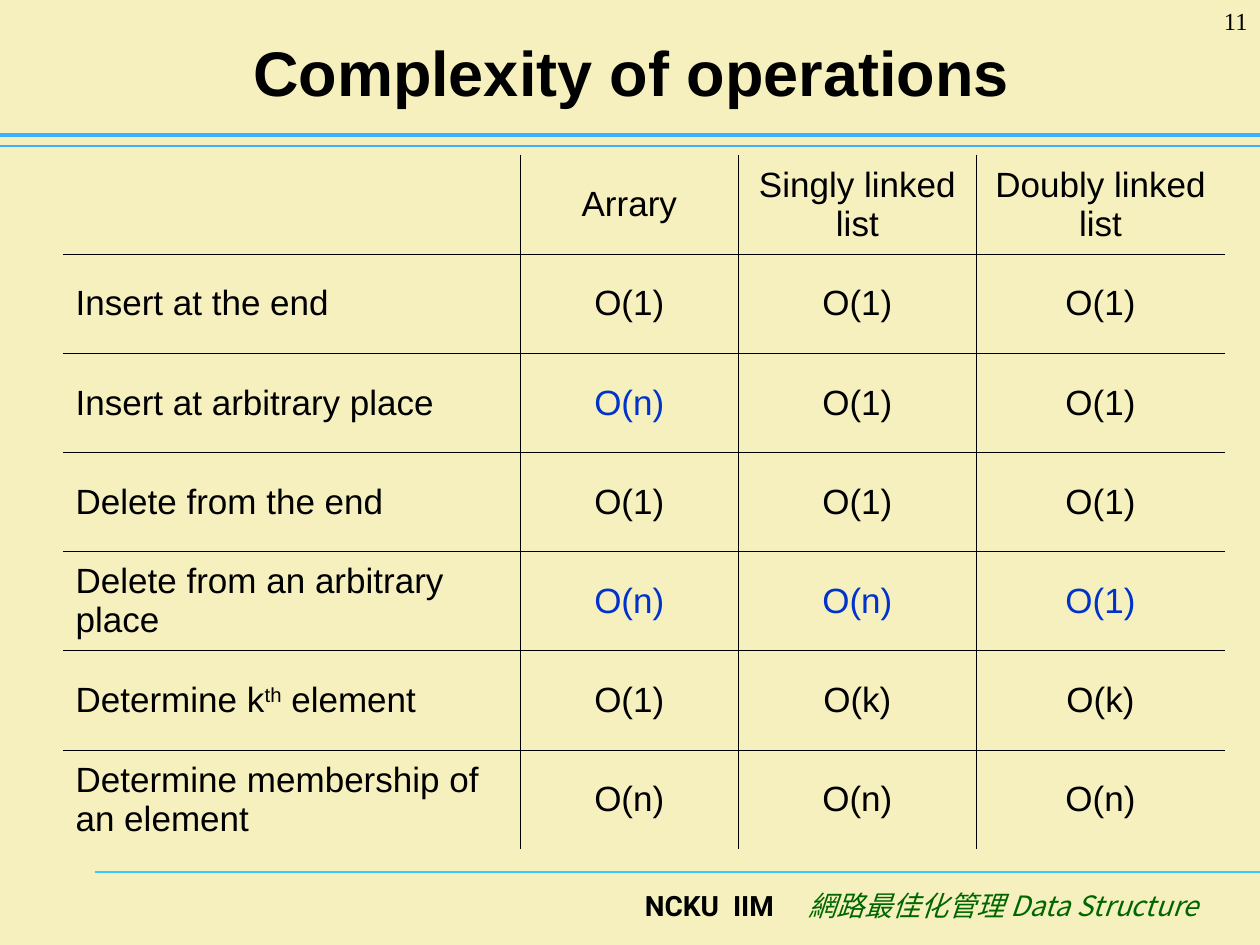
import pptx
import pptx.util
import pptx.dml.color
import pptx.enum.shapes
import pptx.enum.text
import pptx.oxml
import pptx.oxml.ns
import lxml.etree

Inches = pptx.util.Inches
ALIGN = pptx.enum.text.PP_ALIGN
ANCHOR = pptx.enum.text.MSO_ANCHOR

BLACK, BLUE, GREEN = "000000", "0033CC", "006600"
COLUMN_WIDTHS = [3.63, 1.73, 1.89, 1.97]
HEADINGS = ["", "Arrary", "Singly linked list", "Doubly linked list"]
OPERATIONS = [
    ["Insert at the end", "O(1)", "O(1)", "O(1)"],
    ["Insert at arbitrary place", "O(n)", "O(1)", "O(1)"],
    ["Delete from the end", "O(1)", "O(1)", "O(1)"],
    ["Delete from an arbitrary place", "O(n)", "O(n)", "O(1)"],
    [[("Determine k", {}), ("th", {"raised": 30}), (" element", {})],
     "O(1)", "O(k)", "O(k)"],
    ["Determine membership of an element", "O(n)", "O(n)", "O(n)"],
]
HIGHLIGHTED = {(2, 1), (4, 1), (4, 2), (4, 3)}


def color(value):
    return pptx.dml.color.RGBColor.from_string(value)


def add_run(paragraph, text, size=20, font="Arial", fill=BLACK, bold=False,
            italic=False, raised=0, spacing=0):
    run = paragraph.add_run()
    run.text = text
    run.font.size = pptx.util.Pt(size)
    run.font.name = font
    run.font.bold = bold
    run.font.italic = italic
    run.font.color.rgb = color(fill)
    properties = run.font._element
    if raised:
        properties.set("baseline", str(raised * 1000))
    if spacing:
        properties.set("spc", str(spacing * 100))
    east_asian = pptx.oxml.parse_xml(
        f'<a:ea {pptx.oxml.ns.nsdecls("a")} typeface="{font}"/>')
    properties.find(pptx.oxml.ns.qn("a:latin")).addnext(east_asian)


def write(frame, text, align=ALIGN.LEFT, **style):
    """Write a string, or a list of (text, format) runs, as one paragraph."""
    frame.word_wrap = True
    paragraph = frame.paragraphs[0]
    paragraph.alignment = align
    runs = [(text, {})] if isinstance(text, str) else text
    for words, extra in runs:
        add_run(paragraph, words, **{**style, **extra})


def add_text(slide, box, text, anchor=ANCHOR.TOP, **style):
    frame = slide.shapes.add_textbox(*map(Inches, box)).text_frame
    frame.vertical_anchor = anchor
    write(frame, text, **style)


def add_rule(slide, left, top, right, stroke, weight):
    rule = slide.shapes.add_connector(
        pptx.enum.shapes.MSO_CONNECTOR.STRAIGHT,
        Inches(left), Inches(top), Inches(right), Inches(top))
    rule.line.color.rgb = color(stroke)
    rule.line.width = pptx.util.Pt(weight)
    lxml.etree.SubElement(rule._element.spPr, pptx.oxml.ns.qn("a:effectLst"))


def set_borders(cell, visible):
    """Draw the sides named in visible and hide the others."""
    properties = cell._tc.get_or_add_tcPr()
    for position, side in enumerate("LRTB"):
        paint = (f'<a:solidFill><a:srgbClr val="{BLACK}"/></a:solidFill>'
                 if side in visible else "<a:noFill/>")
        properties.insert(position, pptx.oxml.parse_xml(
            f'<a:ln{side} {pptx.oxml.ns.nsdecls("a")} '
            f'w="{pptx.util.Pt(0.45)}">{paint}</a:ln{side}>'))


def add_header(slide, left, top, width, height):
    add_text(slide, (left + 0.51, top + 0.13, 9, 0.87),
             "Complexity of operations", anchor=ANCHOR.MIDDLE,
             align=ALIGN.CENTER, size=36, bold=True)
    add_text(slide, (left + width - 0.83, top, 0.83, 0.5), "11",
             align=ALIGN.RIGHT, size=14, font="Times New Roman")
    # Thick and thin rules under the title
    right, bottom = left + width, top + height
    add_rule(slide, left, bottom, right, "3DB0FF", 0.75)
    add_rule(slide, left, bottom - 0.09, right, "3DB0FF", 2.5)


def add_complexity_table(slide, left, top, width, height):
    rows = [HEADINGS] + OPERATIONS
    last_row, last_column = len(rows) - 1, len(HEADINGS) - 1
    table = slide.shapes.add_table(
        len(rows), len(HEADINGS),
        *map(Inches, (left, top, width, height))).table
    table.first_row = table.horz_banding = False
    for column, column_width in zip(table.columns, COLUMN_WIDTHS):
        column.width = Inches(column_width)
    for r, row in enumerate(rows):
        table.rows[r].height = Inches(height / len(rows))
        for c, text in enumerate(row):
            cell = table.cell(r, c)
            cell.fill.background()
            cell.vertical_anchor = ANCHOR.MIDDLE
            if text:
                write(cell.text_frame, text,
                      align=ALIGN.CENTER if c else ALIGN.LEFT,
                      fill=BLUE if (r, c) in HIGHLIGHTED else BLACK)
            # Only the inner grid lines show
            inner = {"L": c > 0, "R": c < last_column,
                     "T": r > 0, "B": r < last_row}
            set_borders(cell, [side for side in inner if inner[side]])


def add_footer(slide, left, top, width, height):
    add_rule(slide, left, top, left + width, "33CCFF", 0.75)
    school = {"font": "Roboto", "bold": True}
    course = {"font": "Noto Sans CJK SC", "fill": GREEN, "italic": True}
    add_text(slide, (left + 1.08, top + 0.08, 7.78, height - 0.08), [
        ("NCKU", school), (" ", {**school, "spacing": 4}), ("IIM", school),
        (" ", {**school, "spacing": 16}),
        ("網路最佳化管理 Data Structure", course),
    ], align=ALIGN.RIGHT, size=16)


def main():
    deck = pptx.Presentation()
    deck.slide_width, deck.slide_height = Inches(10), Inches(7.5)
    slide = deck.slides.add_slide(deck.slide_layouts[6])
    slide.background.fill.solid()
    slide.background.fill.fore_color.rgb = color("F5F0BD")
    add_footer(slide, 0.75, 6.92, 9.25, 0.58)
    add_header(slide, 0, 0, 10, 1.16)
    add_complexity_table(slide, 0.5, 1.23, 9.22, 5.51)
    deck.save("out.pptx")


if __name__ == "__main__":
    main()
